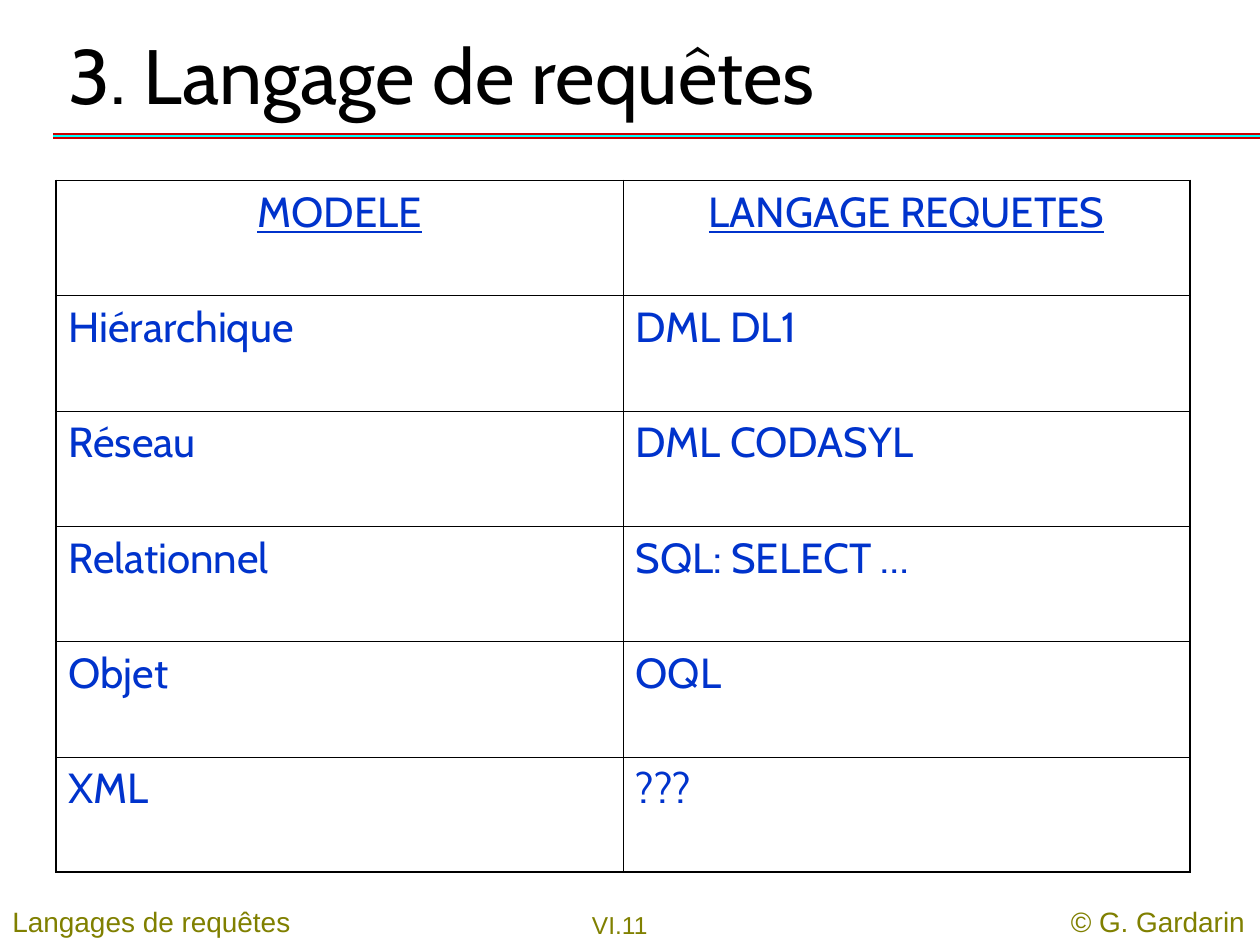
import pptx
import pptx.dml.color
import pptx.enum.shapes
import pptx.enum.text
import pptx.oxml.ns
import pptx.util
from lxml import etree

RGBColor = pptx.dml.color.RGBColor
BLACK = RGBColor(0x00, 0x00, 0x00)
BLUE = RGBColor(0x00, 0x33, 0xCC)
OLIVE = RGBColor(0x80, 0x80, 0x00)
RED = RGBColor(0xCC, 0x00, 0x00)
CYAN = RGBColor(0x00, 0xFF, 0xFF)

WIDTH, HEIGHT = pptx.util.Inches(10), pptx.util.Inches(7.5)
MARGIN, CONTENT_WIDTH = 4.45, 90
FOOTER_TOP, FOOTER_HEIGHT = 95.1, 4.9
OUTER, INNER = 1.08, 0.45

MODELS = [
    ("MODELE", "LANGAGE REQUETES"),
    ("Hiérarchique", "DML DL1"),
    ("Réseau", "DML CODASYL"),
    ("Relationnel", "SQL: SELECT …"),
    ("Objet", "OQL"),
    ("XML", "???"),
]


def across(percent):
    """Return a percentage of the slide's width."""
    return round(WIDTH * percent / 100)


def down(percent):
    """Return a percentage of the slide's height."""
    return round(HEIGHT * percent / 100)


def style_text(frame, font_name, size, color):
    """Format every run of a text frame."""
    for paragraph in frame.paragraphs:
        for run in paragraph.runs:
            run.font.name = font_name
            run.font.size = pptx.util.Pt(size)
            run.font.color.rgb = color


def add_label(slide, text, left, top, width, height, font_name, size, color):
    """Add a text box placed by percentages of the slide, and return its frame."""
    box = slide.shapes.add_textbox(across(left), down(top), across(width), down(height))
    frame = box.text_frame
    frame.text = text
    frame.word_wrap = True
    frame.margin_right = 0
    style_text(frame, font_name, size, color)
    return frame


def add_rule(slide, color, weight):
    """Draw the rule under the title, out to the right edge."""
    rule = slide.shapes.add_connector(
        pptx.enum.shapes.MSO_CONNECTOR.STRAIGHT,
        across(4.2), down(14.4), WIDTH, down(14.4))
    rule.line.color.rgb = color
    rule.line.width = pptx.util.Pt(weight)
    etree.SubElement(rule._element.spPr, pptx.oxml.ns.qn("a:effectLst"))


def set_border(cell, side, weight):
    """Draw one black border of a cell."""
    qn = pptx.oxml.ns.qn
    border = etree.SubElement(cell._tc.get_or_add_tcPr(), qn("a:ln" + side),
                              w=str(pptx.util.Pt(weight)))
    fill = etree.SubElement(border, qn("a:solidFill"))
    etree.SubElement(fill, qn("a:srgbClr"), val=str(BLACK))


def fill_cell(cell, text, is_header):
    """Write a cell's text, underlined and centred in the header."""
    cell.margin_left = cell.margin_right = pptx.util.Inches(0.1)
    cell.margin_top = cell.margin_bottom = pptx.util.Inches(0.05)
    cell.fill.background()
    cell.text_frame.text = text
    style_text(cell.text_frame, "Cabin", 24, BLUE)
    paragraph = cell.text_frame.paragraphs[0]
    paragraph.space_before = pptx.util.Pt(6)
    if is_header:
        paragraph.alignment = pptx.enum.text.PP_ALIGN.CENTER
        paragraph.runs[0].font.underline = True


def add_models_table(slide):
    """Add the table of models and their query languages."""
    last_row, last_column = len(MODELS) - 1, len(MODELS[0]) - 1
    table = slide.shapes.add_table(
        len(MODELS), len(MODELS[0]), across(MARGIN), down(19.1),
        across(CONTENT_WIDTH), down(73.2)).table
    table.first_row = table.horz_banding = False
    for row, languages in enumerate(MODELS):
        for column, text in enumerate(languages):
            cell = table.cell(row, column)
            edges = {"L": column == 0, "R": column == last_column,
                     "T": row == 0, "B": row == last_row}
            for side, is_outer in edges.items():
                set_border(cell, side, OUTER if is_outer else INNER)
            fill_cell(cell, text, row == 0)


def main():
    """Build the slide and save it."""
    deck = pptx.Presentation()
    deck.slide_width, deck.slide_height = WIDTH, HEIGHT
    slide = deck.slides.add_slide(deck.slide_layouts[6])

    add_label(slide, "© G. Gardarin", 84, FOOTER_TOP, 16, FOOTER_HEIGHT,
              "Arial", 16, OLIVE)
    add_label(slide, "VI.11", 46, 95.6, 13.3, 4.4, "Arial", 14, OLIVE)
    add_rule(slide, RED, 3)
    add_rule(slide, CYAN, 1)
    title = add_label(slide, "3. Langage de requêtes", MARGIN, 3.3,
                      CONTENT_WIDTH, 10, "Cabin", 44, BLACK)
    title.vertical_anchor = pptx.enum.text.MSO_ANCHOR.BOTTOM
    add_label(slide, "Langages de requêtes", 0, FOOTER_TOP, 25, FOOTER_HEIGHT,
              "Arial", 16, OLIVE)
    add_models_table(slide)

    deck.save("out.pptx")


if __name__ == "__main__":
    main()
